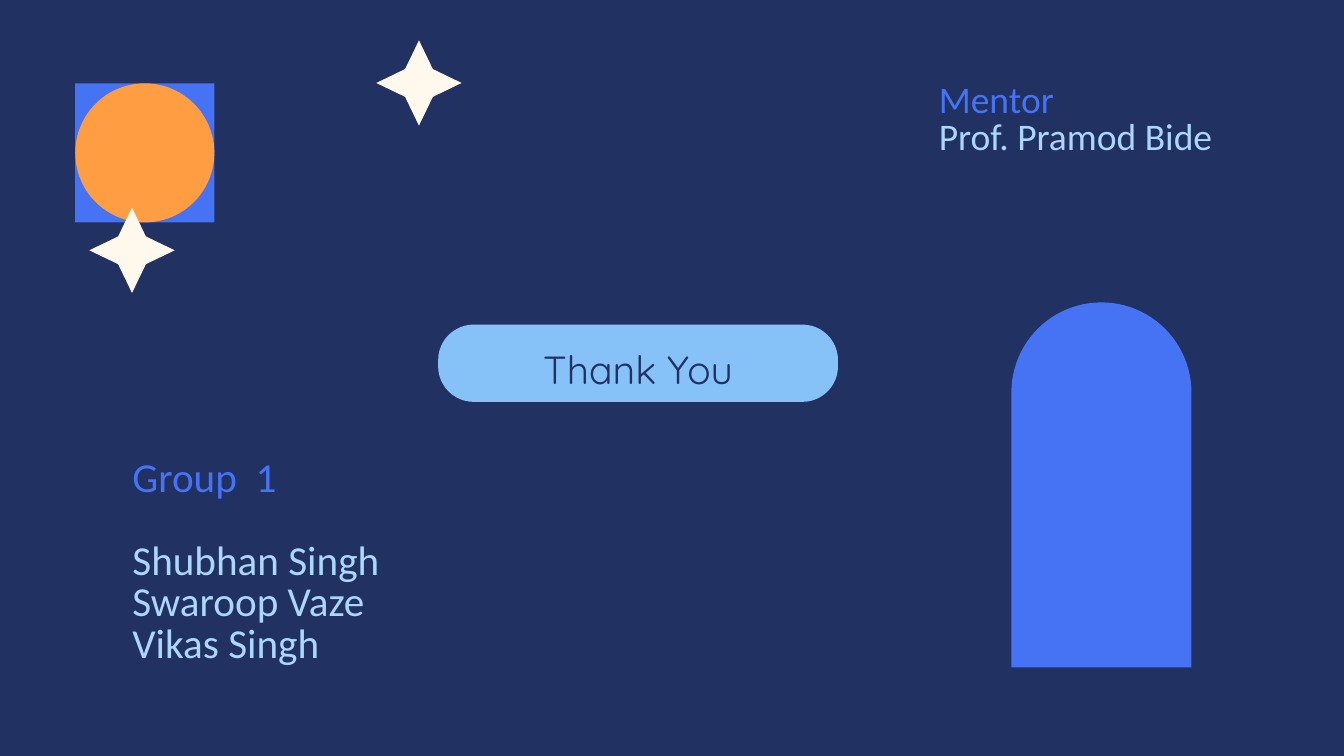
"""Build the closing thank-you slide."""
from pptx import Presentation
from pptx import util as u
from pptx.dml.color import RGBColor
from pptx.enum import shapes, text

THEME = {
    "navy": "203162", "blue": "4672F4", "orange": "FF9D42",
    "cream": "FFF8ED", "sky": "86C2F8", "pale": "ABD7FF",
    "body": "Calibri", "display": "Quicksand",
    "title_size": 42, "group_size": 44.1, "mentor_size": 40.2,
}
KIND = shapes.MSO_SHAPE
BADGE = (1.12, 1.24, 2.07, 2.07)
STAR, STAR_WAIST = 1.27, 0.23

SHAPES = [
    (KIND.ROUND_2_SAME_RECTANGLE, (15.05, 4.5, 2.68, 5.43), "blue", 0.5),
    (KIND.RECTANGLE, BADGE, "blue", None),
    (KIND.OVAL, BADGE, "orange", None),
    (KIND.STAR_4_POINT, (1.33, 3.09, STAR, STAR), "cream", STAR_WAIST),
    (KIND.STAR_4_POINT, (5.6, 0.6, STAR, STAR), "cream", STAR_WAIST),
]
PILL = (KIND.ROUNDED_RECTANGLE, (6.52, 4.83, 5.95, 1.15), "sky", 0.46)
TITLE = "Thank You"
CREDITS = [
    {"box": (1.97, 6.83, 4.27, 3.11), "size": "group_size", "leading": 44.5, "gap": 44.5,
     "heading": "Group  1", "names": ["Shubhan Singh", "Swaroop Vaze", "Vikas Singh"]},
    {"box": (13.97, 1.23, 4.59, 1.15), "size": "mentor_size", "leading": 40.6, "gap": 0,
     "heading": "Mentor", "names": ["Prof. Pramod Bide"]},
]


def color(name):
    return RGBColor.from_string(THEME[name])


def apply(obj, values):
    for name, value in values.items():
        setattr(obj, name, value)


def add_shape(s, kind, box, fill, adjustment):
    sp = s.shapes.add_shape(kind, *map(u.Inches, box))
    sp.shadow.inherit = False
    sp.fill.solid()
    sp.fill.fore_color.rgb = color(fill)
    sp.line.fill.background()
    if adjustment is not None:
        sp.adjustments[0] = adjustment
    return sp


def write(p, words, font, size, ink, **layout):
    r = p.add_run()
    r.text = words
    apply(r.font, {"name": THEME[font], "size": u.Pt(THEME[size])})
    r.font.color.rgb = color(ink)
    apply(p, layout)


def add_title(s):
    tf = add_shape(s, *PILL).text_frame
    apply(tf, {"margin_top": u.Inches(0.27), "margin_bottom": 0, "word_wrap": True,
               "vertical_anchor": text.MSO_ANCHOR.MIDDLE})
    write(tf.paragraphs[0], TITLE, "display", "title_size", "navy",
          alignment=text.PP_ALIGN.CENTER, line_spacing=u.Pt(42.4))


def add_credit(s, credit):
    tf = s.shapes.add_textbox(*map(u.Inches, credit["box"])).text_frame
    apply(tf, dict.fromkeys(("margin_left", "margin_top", "margin_right", "margin_bottom"), 0))
    tf.word_wrap = True
    leading = u.Pt(credit["leading"])
    write(tf.paragraphs[0], credit["heading"], "body", credit["size"], "blue",
          line_spacing=leading, space_after=u.Pt(credit["gap"]))
    for name in credit["names"]:
        write(tf.add_paragraph(), name, "body", credit["size"], "pale", line_spacing=leading)


def main():
    prs = Presentation()
    apply(prs, {"slide_width": u.Inches(20), "slide_height": u.Inches(11.25)})
    s = prs.slides.add_slide(prs.slide_layouts[6])
    s.background.fill.solid()
    s.background.fill.fore_color.rgb = color("navy")
    for shape in SHAPES:
        add_shape(s, *shape)
    add_title(s)
    for credit in CREDITS:
        add_credit(s, credit)
    prs.save("out.pptx")


if __name__ == "__main__":
    main()
